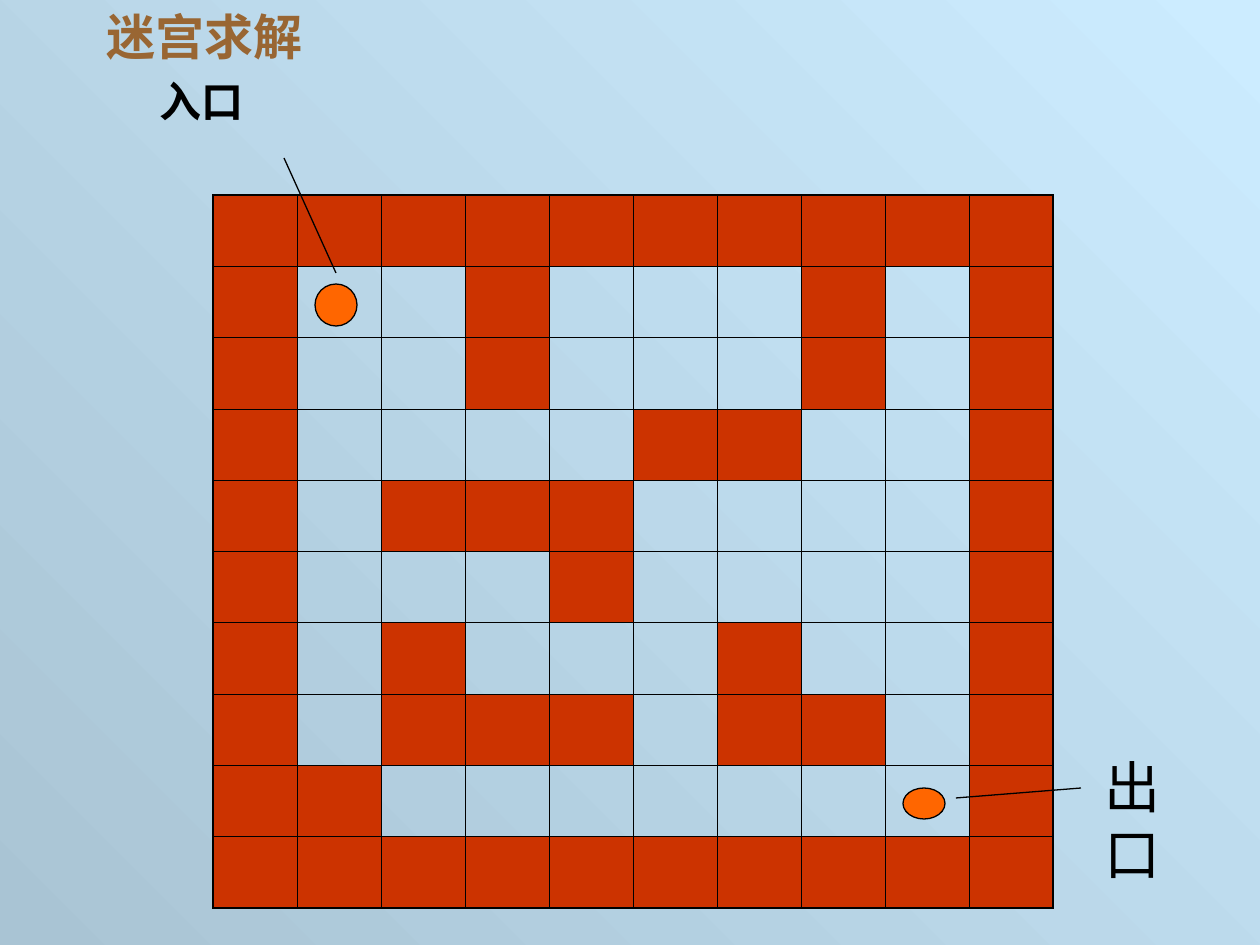
from lxml import etree
from pptx import Presentation
from pptx.dml.color import RGBColor
from pptx.enum.shapes import MSO_CONNECTOR, MSO_SHAPE
from pptx.enum.text import MSO_AUTO_SIZE
from pptx.oxml.ns import qn
from pptx.util import Emu, Pt

LINE = MSO_CONNECTOR.STRAIGHT
DOT = MSO_SHAPE.FLOWCHART_CONNECTOR
OVAL = MSO_SHAPE.OVAL
GROW = MSO_AUTO_SIZE.SHAPE_TO_FIT_TEXT
FIXED = MSO_AUTO_SIZE.NONE

SCALE = 914400 / 126
BLACK = "000000"
WALL = "CC3300"
MARK = "FF6600"
THIN, THICK = 0.45, 1.08
MAZE = [
    "##########",
    "#..#...#.#",
    "#..#...#.#",
    "#....##..#",
    "#.###....#",
    "#...#....#",
    "#.#...#..#",
    "#.###.##.#",
    "##.......#",
    "##########",
]


def px(n):
    return Emu(round(n * SCALE))


def paint(code):
    return RGBColor.from_string(code)


def frame(slide, box, fit=FIXED):
    body = slide.shapes.add_textbox(*map(px, box)).text_frame
    body.word_wrap = True
    body.auto_size = fit
    return body


def write(para, text, size, face, color=BLACK, bold=False, before=0, indent=0):
    if indent:
        para._p.get_or_add_pPr().set("marL", str(px(indent)))
    if before:
        para.space_before = Pt(before)
    run = para.add_run()
    run.text = text
    font = run.font
    font.size, font.name, font.bold = Pt(size), face, bold
    font.color.rgb = paint(color)


def edge(cell, side, width):
    line = etree.SubElement(cell._tc.get_or_add_tcPr(), qn("a:" + side), w=str(Pt(width)))
    fill = etree.SubElement(line, qn("a:solidFill"))
    etree.SubElement(fill, qn("a:srgbClr"), val=BLACK)


def backdrop(slide):
    fill = slide.background.fill
    fill.gradient()
    fill.gradient_angle = 225
    for stop, code in zip(fill.gradient_stops, ("CCECFF", "A9C4D4")):
        stop.color.rgb = paint(code)


def heading(slide, box):
    body = frame(slide, box)
    write(body.paragraphs[0], "迷宫求解", 28, "Cabin", "996633", bold=True)
    write(body.add_paragraph(), "入口", 24, "Cabin", bold=True, before=6, indent=53)


def maze(slide, box):
    rows, cols = len(MAZE), len(MAZE[0])
    grid = slide.shapes.add_table(rows, cols, *map(px, box)).table
    grid.first_row = grid.horz_banding = False
    for col in grid.columns:
        col.width = px(box[2] / cols)
    for r, row in enumerate(grid.rows):
        row.height = px(box[3] / rows)
        for c, cell in enumerate(row.cells):
            outer = {"lnL": c == 0, "lnR": c == cols - 1, "lnT": r == 0, "lnB": r == rows - 1}
            for side, rim in outer.items():
                edge(cell, side, THICK if rim else THIN)
            if MAZE[r][c] == "#":
                cell.fill.solid()
                cell.fill.fore_color.rgb = paint(WALL)
            else:
                cell.fill.background()


def marker(slide, kind, box, start, end):
    spot = slide.shapes.add_shape(kind, *map(px, box))
    spot.shadow.inherit = False
    spot.fill.solid()
    spot.fill.fore_color.rgb = paint(MARK)
    lead = slide.shapes.add_connector(LINE, *map(px, start + end))
    etree.SubElement(lead._element.spPr, qn("a:effectLst"))
    for item in (spot, lead):
        item.line.color.rgb = paint(BLACK)
        item.line.width = Pt(0.75)


def outlet(slide, box):
    body = frame(slide, box, GROW)
    write(body.paragraphs[0], "出口", 32, "Times New Roman")


def main():
    deck = Presentation()
    deck.slide_width, deck.slide_height = px(1260), px(945)
    slide = deck.slides.add_slide(deck.slide_layouts[6])
    backdrop(slide)
    heading(slide, (94, 0, 1124, 976))
    maze(slide, (213, 195, 840, 713))
    marker(slide, DOT, (315, 284, 42, 42), (336, 273), (284, 158))
    marker(slide, OVAL, (903, 788, 42, 31), (956, 798), (1081, 788))
    outlet(slide, (1092, 746, 84, 147))
    deck.save("out.pptx")


if __name__ == "__main__":
    main()
